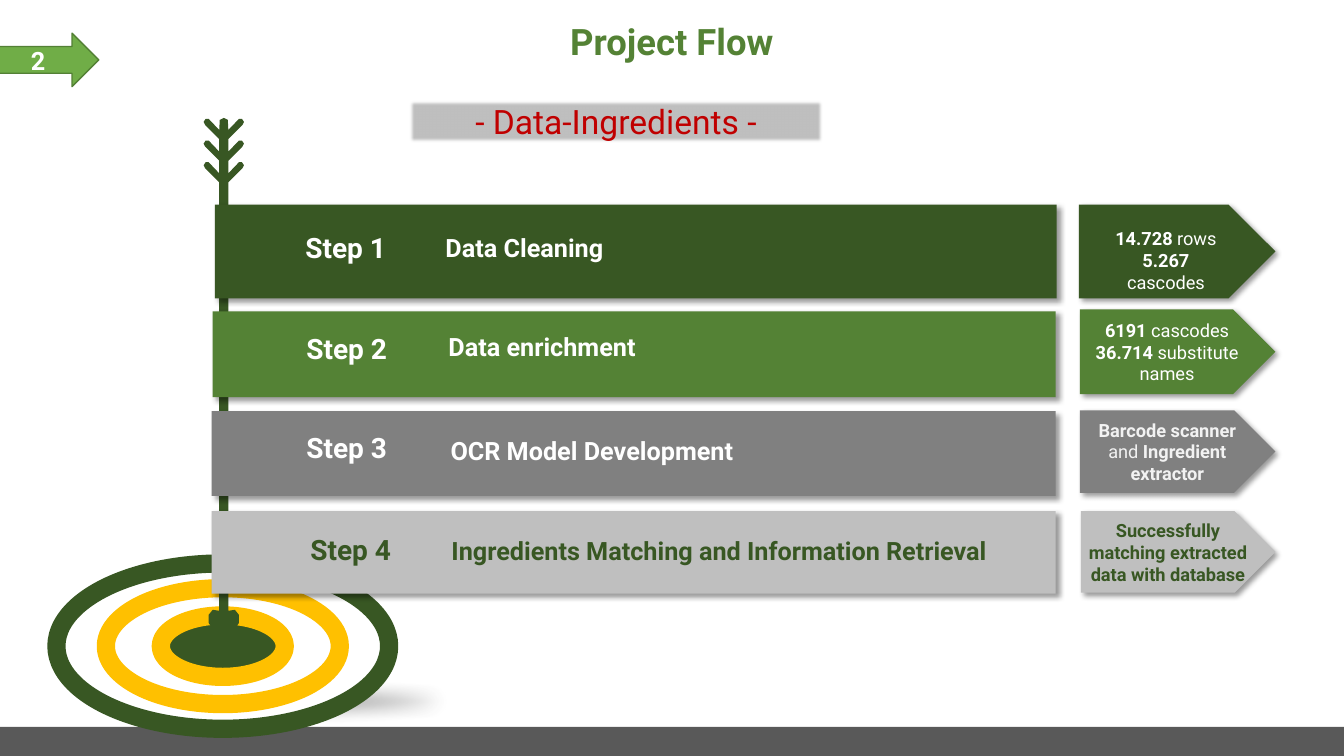
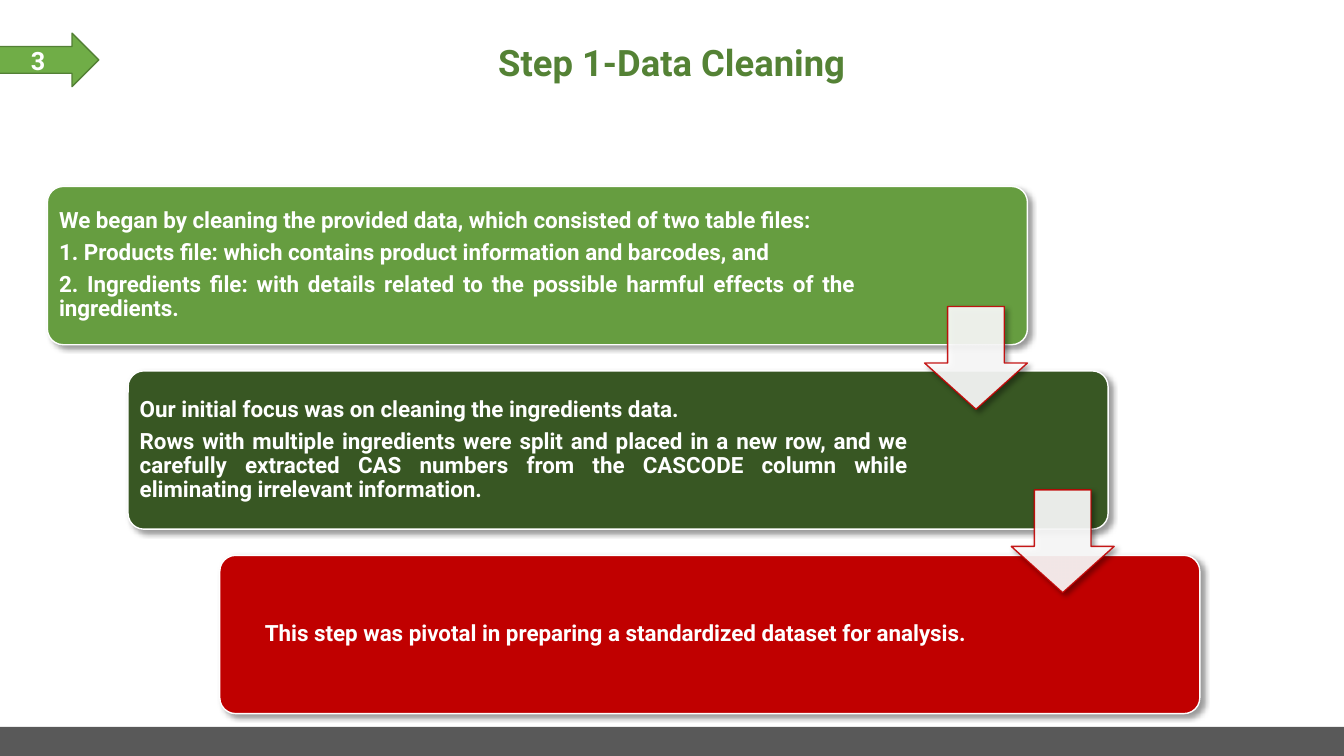
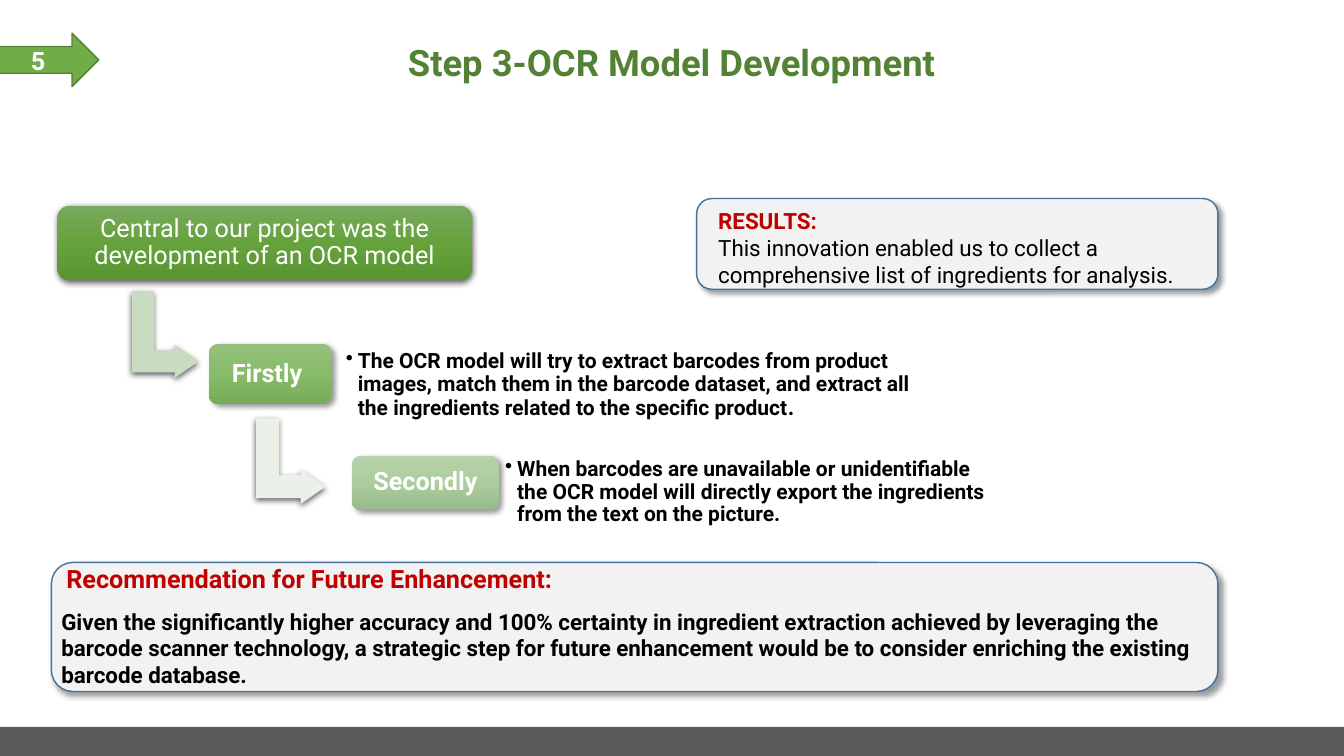
from lxml import etree
from pptx import Presentation
from pptx.dml.color import RGBColor
from pptx.enum.shapes import MSO_SHAPE
from pptx.enum.text import MSO_ANCHOR, PP_ALIGN
from pptx.oxml.ns import qn
from pptx.util import Inches, Pt

RECT = MSO_SHAPE.RECTANGLE
ROUND = MSO_SHAPE.ROUNDED_RECTANGLE
OVAL = MSO_SHAPE.OVAL
PENTAGON = MSO_SHAPE.PENTAGON
RIGHT_ARROW = MSO_SHAPE.RIGHT_ARROW
DOWN_ARROW = MSO_SHAPE.DOWN_ARROW
BENT_ARROW = MSO_SHAPE.BENT_UP_ARROW
LEFT, CENTER, JUSTIFY = PP_ALIGN.LEFT, PP_ALIGN.CENTER, PP_ALIGN.JUSTIFY
TOP, MIDDLE = MSO_ANCHOR.TOP, MSO_ANCHOR.MIDDLE

FONT = "Roboto"
WIDTH, HEIGHT = 13.33, 7.5
COLORS = {
    "white": "FFFFFF", "black": "000000", "forest": "385723", "green": "548235",
    "leaf": "669D40", "badge": "70AD47", "badge_edge": "538035", "gold": "FFC000",
    "red": "C00000", "gray": "808080", "silver": "BFBFBF", "mist": "F2F2F2",
    "band": "595959", "smoke": "404040", "blue": "43739E",
    "bend_first": "C9DBC1", "bend_second": "EBF1E9",
}
CENTRAL_GRADIENT = ("78A95E", "65A23C", "599431")
FIRST_GRADIENT = ("95C07E", "86BC68", "76AC58")
SECOND_GRADIENT = ("B7D1AB", "ACCD9E", "98B989")
SOFT_SHADOW = (4, 3, 45, 40)
LOW_SHADOW = (4.5, 1.5, 90, 63)


def rgb(name):
    return RGBColor.from_string(COLORS[name])


def child(parent, tag, **attributes):
    return etree.SubElement(parent, qn(tag), {k: str(v) for k, v in attributes.items()})


def set_gradient(shape, stops):
    shape.fill.gradient()
    shape.fill.gradient_angle = 270
    stop_list = shape.element.spPr.find(".//" + qn("a:gsLst"))
    stop_list.clear()
    for index, value in enumerate(stops):
        stop = child(stop_list, "a:gs", pos=index * 50000)
        child(stop, "a:srgbClr", val=value)


def set_opacity(shape, percent):
    for color in shape.element.spPr.iter(qn("a:srgbClr")):
        child(color, "a:alpha", val=percent * 1000)


def set_effect(shape, shadow=None, soft_edge=None):
    effects = shape.element.spPr.find(qn("a:effectLst"))
    if shadow:
        blur, distance, angle, opacity = shadow
        outer = child(effects, "a:outerShdw", blurRad=int(Pt(blur)), dist=int(Pt(distance)),
                      dir=angle * 60000, algn="ctr", rotWithShape=0)
        child(child(outer, "a:srgbClr", val=COLORS["black"]), "a:alpha", val=opacity * 1000)
    if soft_edge:
        child(effects, "a:softEdge", rad=int(Pt(soft_edge)))


def paint(shape, fill, line=None, line_width=1, opacity=None, shadow=None, soft_edge=None):
    shape.shadow.inherit = False
    if isinstance(fill, tuple):
        set_gradient(shape, fill)
    else:
        shape.fill.solid()
        shape.fill.fore_color.rgb = rgb(fill)
    if line:
        shape.line.color.rgb = rgb(line)
        shape.line.width = Pt(line_width)
    else:
        shape.line.fill.background()
    if opacity:
        set_opacity(shape, opacity)
    set_effect(shape, shadow, soft_edge)
    return shape


def add_block(slide, kind, box, fill, adjust=(), **style):
    shape = slide.shapes.add_shape(kind, *map(Inches, box))
    for index, value in enumerate(adjust):
        shape.adjustments[index] = value
    return paint(shape, fill, **style)


def write(shape, paragraphs, size, color, bold=True, align=CENTER, anchor=MIDDLE,
          margins=(0.1, 0.05, 0.1, 0.05), leading=None, after=0):
    frame = shape.text_frame
    frame.word_wrap = True
    frame.vertical_anchor = anchor
    frame.margin_left, frame.margin_top, frame.margin_right, frame.margin_bottom = map(Inches, margins)
    for index, runs in enumerate(paragraphs):
        paragraph = frame.paragraphs[0] if index == 0 else frame.add_paragraph()
        paragraph.alignment = align
        paragraph.space_after = Pt(after)
        if leading:
            paragraph.line_spacing = leading
        for text, changes in ([(runs, {})] if isinstance(runs, str) else runs):
            look = {"size": size, "color": color, "bold": bold, **changes}
            run = paragraph.add_run()
            run.text = text
            run.font.name = FONT
            run.font.size = Pt(look["size"])
            run.font.bold = look["bold"]
            run.font.color.rgb = rgb(look["color"])
    return frame


def add_label(slide, box, paragraphs, size, color, **style):
    return write(slide.shapes.add_textbox(*map(Inches, box)), paragraphs, size, color, **style)


def set_indent(paragraph, left, bullet=None):
    properties = paragraph._p.get_or_add_pPr()
    properties.set("marL", str(Inches(left)))
    if bullet:
        properties.set("indent", str(-Inches(left)))
        child(properties, "a:buChar", char=bullet)


def start_slide(deck, title, number, title_top=0.22):
    slide = deck.slides.add_slide(deck.slide_layouts[6])
    add_block(slide, RECT, (0, 7.21, WIDTH, 0.29), "band")
    add_label(slide, (0, title_top, WIDTH, 0.85), [title], 26, "green", leading=0.9)
    badge = add_block(slide, RIGHT_ARROW, (-0.09, 0.33, 1.07, 0.53), "badge", line="badge_edge")
    write(badge, [number], 18, "white", margins=(0.1, 0, 0.1, 0))
    return slide


def add_target(slide, center_x, center_y):
    add_block(slide, OVAL, (center_x - 2, center_y + 0.3, 5.01, 0.49), "smoke", opacity=58, soft_edge=12.5)
    rings = [(3.3, 1.64, "white", "forest"), (2.32, 1.15, "white", "gold"), (1.23, 0.61, "forest", "gold")]
    for width, height, fill, line in rings:
        box = (center_x - width / 2, center_y - height / 2, width, height)
        add_block(slide, OVAL, box, fill, line=line, line_width=13)


def add_dart(slide, center_x, top, length):
    half = [(0, 0), (0.04, 0.02)]
    for feather in range(3):
        y = 0.01 + feather * 0.215
        half += [(0.045, y + 0.11), (0.15, y), (0.18, y), (0.2, y + 0.03), (0.185, y + 0.06), (0.045, y + 0.2)]
    half += [(0.045, length - 0.35), (0.11, length - 0.36), (0.15, length - 0.31),
             (0.15, length - 0.23), (0, length)]
    outline = half + [(-x, y) for x, y in reversed(half[1:-1])]
    points = [(Inches(center_x + x), Inches(top + y)) for x, y in outline]
    builder = slide.shapes.build_freeform(*points[0], scale=1.0)
    builder.add_line_segments(points[1:], close=True)
    paint(builder.convert_to_shape(), "forest")


def add_step_row(slide, bar, plate, fill, color, step, step_at, name, name_at, result, result_color, insets):
    add_block(slide, RECT, bar, fill, shadow=SOFT_SHADOW)
    left, top = bar[:2]
    for text, size, (x, y), width in ((step, 20, step_at, 1.31), (name, 18, name_at, 6.1)):
        add_label(slide, (left + x, top + y, width, 0.44), [text], size, color, align=LEFT, anchor=TOP)
    outcome = add_block(slide, PENTAGON, plate, fill, shadow=SOFT_SHADOW)
    write(outcome, result, 13, result_color, margins=insets)


def build_flow(deck):
    slide = start_slide(deck, "Project Flow", "2", title_top=0.01)
    add_target(slide, 2.21, 6.41)
    add_dart(slide, 2.22, 1.17, 5.24)
    plain = {"bold": False}
    tight = (0.03, 0, 0.03, 0)
    rows = [
        ((2.13, 2.03, 8.35, 0.93), (10.7, 2.03, 1.95, 0.93), "forest", "white",
         "Step 1", (0.8, 0.21), "Data Cleaning", (2.19, 0.23),
         [[("14.728 ", {}), ("rows", plain)], [("5.267", {}), (" cascodes", plain)]],
         "white", (0.25, 0.22, 0.24, 0.05)),
        ((2.11, 3.09, 8.36, 0.85), (10.71, 3.07, 1.94, 0.84), "green", "white",
         "Step 2", (0.83, 0.15), "Data enrichment", (2.24, 0.15),
         [[("6191 ", {}), ("cascodes ", plain), ("36.714", {}), (" substitute names", plain)]],
         "white", tight),
        ((2.1, 4.08, 8.37, 0.84), (10.71, 4.07, 1.94, 0.82), "gray", "white",
         "Step 3", (0.84, 0.14), "OCR Model Development", (2.27, 0.19),
         ["Barcode scanner", [("and ", plain), ("Ingredient extractor", {})]],
         "mist", tight),
        ((2.1, 5.07, 8.37, 0.82), (10.72, 5.07, 1.93, 0.81), "silver", "forest",
         "Step 4", (0.88, 0.16), "Ingredients Matching and Information Retrieval", (2.28, 0.19),
         ["Successfully matching extracted data with database"],
         "forest", tight),
    ]
    for row in rows:
        add_step_row(slide, *row)
    subtitle = add_block(slide, RECT, (4.05, 0.99, 4.12, 0.43), "silver", soft_edge=2.5)
    write(subtitle, ["- Data-Ingredients -"], 24, "red", bold=False, margins=(0.1, 0, 0.1, 0))


def add_stage(slide, left, top, fill, paragraphs, align, right_margin):
    card = add_block(slide, ROUND, (left, top, 9.72, 1.57), fill, adjust=(0.1,),
                     line="white", shadow=SOFT_SHADOW)
    write(card, paragraphs, 16, "white", align=align, leading=0.9, after=5.6,
          margins=(0.07, 0.07, right_margin, 0.07))


def build_cleaning(deck):
    slide = start_slide(deck, "Step 1-Data Cleaning", "3")
    stages = [
        (0.47, "leaf", [
            "We began by cleaning the provided data, which consisted of two table files:",
            "1. Products file: which contains product information and barcodes, and",
            "2. Ingredients file: with details related to the possible harmful effects of the ingredients.",
        ], JUSTIFY, 1.66),
        (1.27, "forest", [
            "Our initial focus was on cleaning the ingredients data.",
            "Rows with multiple ingredients were split and placed in a new row, and we carefully extracted "
            "CAS numbers from the CASCODE column while eliminating irrelevant information.",
        ], JUSTIFY, 1.94),
        (2.18, "red", ["This step was pivotal in preparing a standardized dataset for analysis."],
         CENTER, 1.94),
    ]
    for index, (left, *stage) in enumerate(stages):
        add_stage(slide, left, 1.85 + index * 1.83, *stage)
    for left, top in ((9.17, 3.04), (10.03, 4.86)):
        add_block(slide, DOWN_ARROW, (left, top, 1.02, 1.02), "white", adjust=(0.55, 0.45),
                  line="red", opacity=90, shadow=SOFT_SHADOW)


def add_bend(slide, box, fill):
    bend = add_block(slide, BENT_ARROW, box, fill, adjust=(0.33, 0.25, 0.36), shadow=LOW_SHADOW)
    bend.rotation = 90


def add_stop(slide, box, gradient, text, shadow=SOFT_SHADOW, bold=True):
    stop = add_block(slide, ROUND, box, gradient, shadow=shadow)
    write(stop, [text], 18, "white", bold=bold, leading=0.9, margins=(0.07,) * 4)


def add_detail(slide, box, runs):
    frame = add_label(slide, box, [runs], 15, "black", align=LEFT, leading=0.9, margins=(0.06,) * 4)
    set_indent(frame.paragraphs[0], 0.12, "•")


def add_panel(slide, box):
    return add_block(slide, ROUND, box, "mist", line="blue", shadow=SOFT_SHADOW)


def add_model_steps(slide):
    add_bend(slide, (1.21, 2.99, 0.86, 0.66), "bend_first")
    add_stop(slide, (0.57, 2.04, 4.11, 0.74), CENTRAL_GRADIENT,
             "Central to our project was the development of an OCR model", LOW_SHADOW, bold=False)
    add_bend(slide, (2.46, 4.23, 0.85, 0.69), "bend_second")
    add_stop(slide, (2.07, 3.41, 1.22, 0.6), FIRST_GRADIENT, "Firstly ")
    add_detail(slide, (3.37, 3.46, 5.77, 0.73), [
        ("The OCR model will try to extract barcodes from product images, match them in the barcode "
         "dataset, and extract all the ingredients related to the specific product", {}),
        (".", {"size": 16}),
    ])
    add_stop(slide, (3.49, 4.52, 1.46, 0.54), SECOND_GRADIENT, "Secondly")
    add_detail(slide, (4.95, 4.31, 5.04, 1.15), [
        ("When barcodes are unavailable or unidentifiable the OCR model will directly export the "
         "ingredients from the text on the picture.", {}),
    ])


def build_model(deck):
    slide = start_slide(deck, "Step 3-OCR Model Development", "5")
    add_model_steps(slide)
    results = add_panel(slide, (6.91, 1.97, 5.17, 0.9))
    write(results, [
        [("RESULTS:", {"color": "red", "bold": True})],
        "This innovation enabled us to collect a comprehensive list of ingredients for analysis.",
    ], 16, "black", bold=False, align=LEFT, anchor=TOP, margins=(0.17, 0.04, 0.15, 0))
    add_panel(slide, (0.51, 5.58, 11.57, 1.28))
    advice = add_label(slide, (0.51, 5.54, 11.67, 1.35), [
        [("Recommendation for Future Enhancement:", {"size": 18, "color": "red"})],
        "Given the significantly higher accuracy and 100% certainty in ingredient extraction achieved by "
        "leveraging the barcode scanner technology, a strategic step for future enhancement would be to "
        "consider enriching the existing barcode database.",
    ], 16, "black", align=LEFT, anchor=TOP, after=10)
    set_indent(advice.paragraphs[0], 0.05)


def main():
    deck = Presentation()
    deck.slide_width, deck.slide_height = Inches(WIDTH), Inches(HEIGHT)
    build_flow(deck)
    build_cleaning(deck)
    build_model(deck)
    deck.save("out.pptx")


if __name__ == "__main__":
    main()
